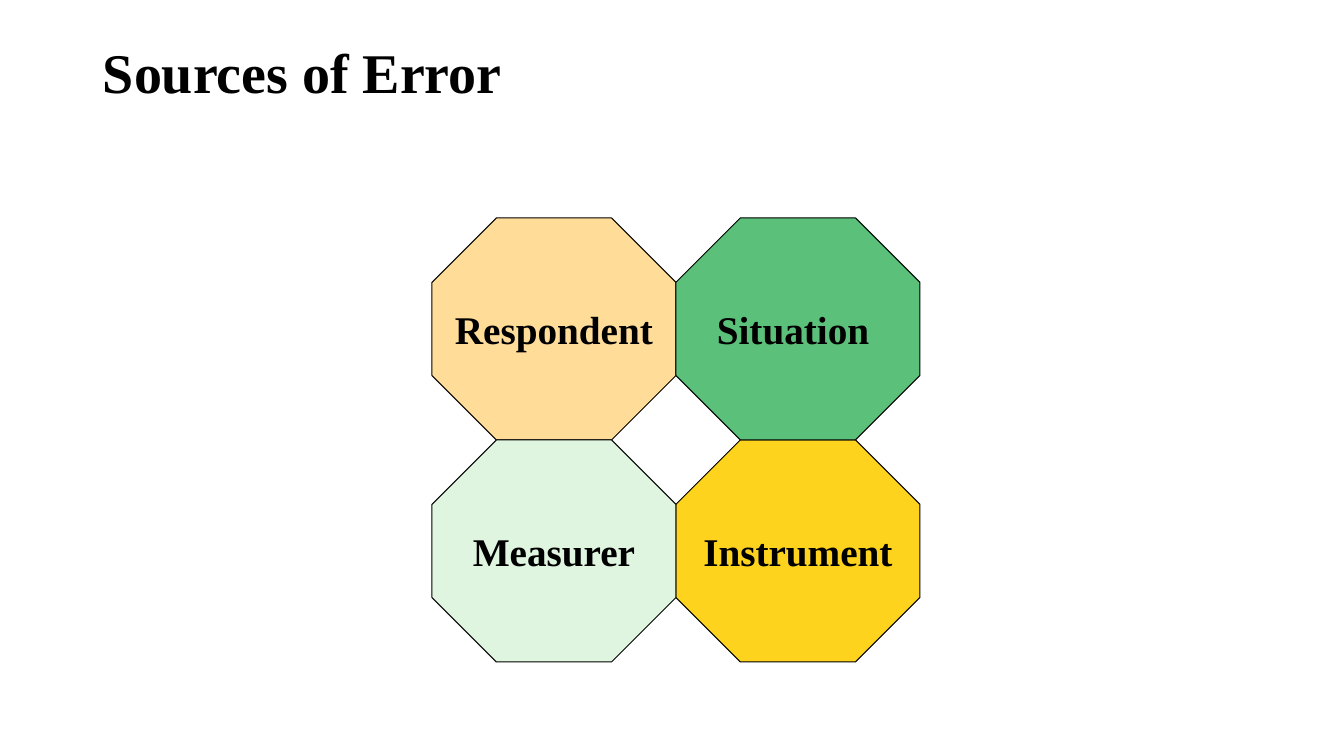
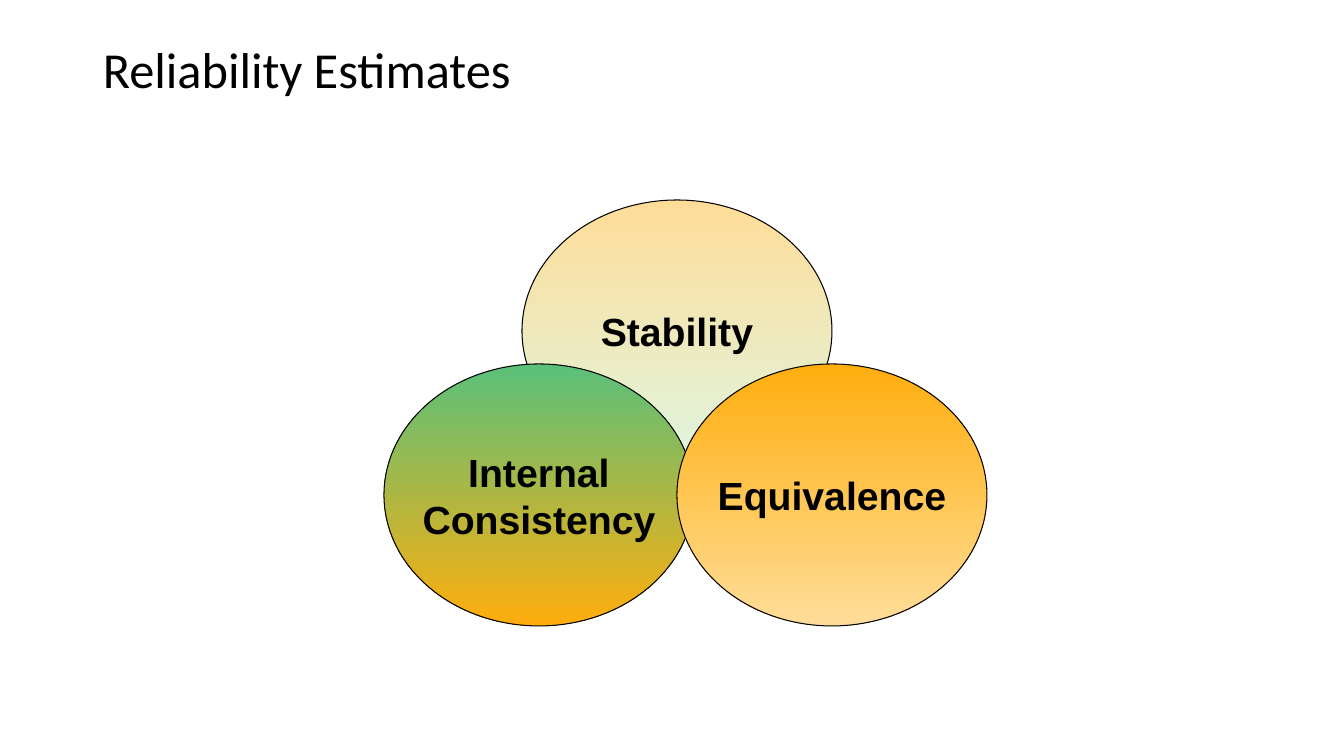
from pptx import Presentation, util as u
from pptx.dml.color import RGBColor
from pptx.enum import shapes, text

PX = 914400 / 100.8
BLACK = RGBColor(0x00, 0x00, 0x00)
WHITE = RGBColor(0xFF, 0xFF, 0xFF)
PEACH = RGBColor(0xFF, 0xDD, 0x99)
GREEN = RGBColor(0x5A, 0xC0, 0x7A)
MINT = RGBColor(0xDF, 0xF5, 0xDF)
YELLOW = RGBColor(0xFE, 0xD3, 0x1E)
ORANGE = RGBColor(0xFF, 0xAE, 0x0D)

SERIF = "Times New Roman"


def px(*lengths):
    return [u.Emu(round(length * PX)) for length in lengths]


class SlideBuilder:
    TITLE_BOX = (93, 40, 1159, 146)
    TITLE_FRAME = {"word_wrap": True, "vertical_anchor": text.MSO_ANCHOR.TOP}
    TITLE_PARA = {"alignment": text.PP_ALIGN.LEFT, "line_spacing": 0.9}
    LABEL_FRAME = {"word_wrap": False, "vertical_anchor": text.MSO_ANCHOR.MIDDLE}
    LABEL_PARA = {"alignment": text.PP_ALIGN.CENTER}
    LABEL_FONT = {"size": u.Pt(28), "bold": True}

    def __init__(self):
        self.deck = Presentation()
        self.deck.slide_width, self.deck.slide_height = px(1344, 756)
        self.page = None

    def new_page(self):
        self.page = self.deck.slides.add_slide(self.deck.slide_layouts[6])
        background = self.page.background.fill
        background.solid()
        background.fore_color.rgb = WHITE

    def set_text(self, frame, lines, frame_format, para_format, font_format):
        for name, value in frame_format.items():
            setattr(frame, name, value)
        for index, line in enumerate(lines):
            para = frame.add_paragraph() if index else frame.paragraphs[0]
            for name, value in para_format.items():
                setattr(para, name, value)
            span = para.add_run()
            span.text = line
            for name, value in font_format.items():
                setattr(span.font, name, value)
            span.font.color.rgb = BLACK

    def title(self, words, **font_format):
        box = self.page.shapes.add_textbox(*px(*self.TITLE_BOX))
        self.set_text(box.text_frame, [words], self.TITLE_FRAME,
                      self.TITLE_PARA, font_format)

    def figure(self, kind, area, colors, lines, font):
        """Draw a labelled shape; two colours make a top-to-bottom gradient."""
        box = self.page.shapes.add_shape(kind, *px(*area))
        box.shadow.inherit = False
        if len(colors) == 1:
            box.fill.solid()
            box.fill.fore_color.rgb = colors[0]
        else:
            box.fill.gradient()
            box.fill.gradient_angle = 270
            for stop, color in zip(box.fill.gradient_stops, colors):
                stop.color.rgb = color
        box.line.color.rgb = BLACK
        box.line.width = u.Pt(0.75)
        self.set_text(box.text_frame, lines, self.LABEL_FRAME, self.LABEL_PARA,
                      {**self.LABEL_FONT, "name": font})
        return box


def error_sources(builder):
    builder.new_page()
    builder.title("Sources of Error", name=SERIF, size=u.Pt(40), bold=True)
    left, top, width, height = 432, 218, 244, 222
    for column, row, label, color in (
        (0, 0, "Respondent", PEACH),
        (1, 1, "Instrument", YELLOW),
        (0, 1, "Measurer", MINT),
        (1, 0, "Situation ", GREEN),
    ):
        area = (left + column * width, top + row * height, width, height)
        octagon = builder.figure(shapes.MSO_SHAPE.OCTAGON, area, [color],
                                 [label], SERIF)
        octagon.adjustments[0] = 0.29


def reliability_estimates(builder):
    builder.new_page()
    builder.title("Reliability Estimates", name="Calibri", size=u.Pt(36), bold=False)
    for left, top, colors, lines in (
        (522, 200, (PEACH, MINT), ["Stability"]),
        (384, 364, (GREEN, ORANGE), ["Internal", "Consistency"]),
        (677, 364, (ORANGE, PEACH), ["Equivalence"]),
    ):
        builder.figure(shapes.MSO_SHAPE.OVAL, (left, top, 310, 262), colors,
                       lines, "Arial")


def main():
    builder = SlideBuilder()
    error_sources(builder)
    reliability_estimates(builder)
    builder.deck.save("out.pptx")


if __name__ == "__main__":
    main()
